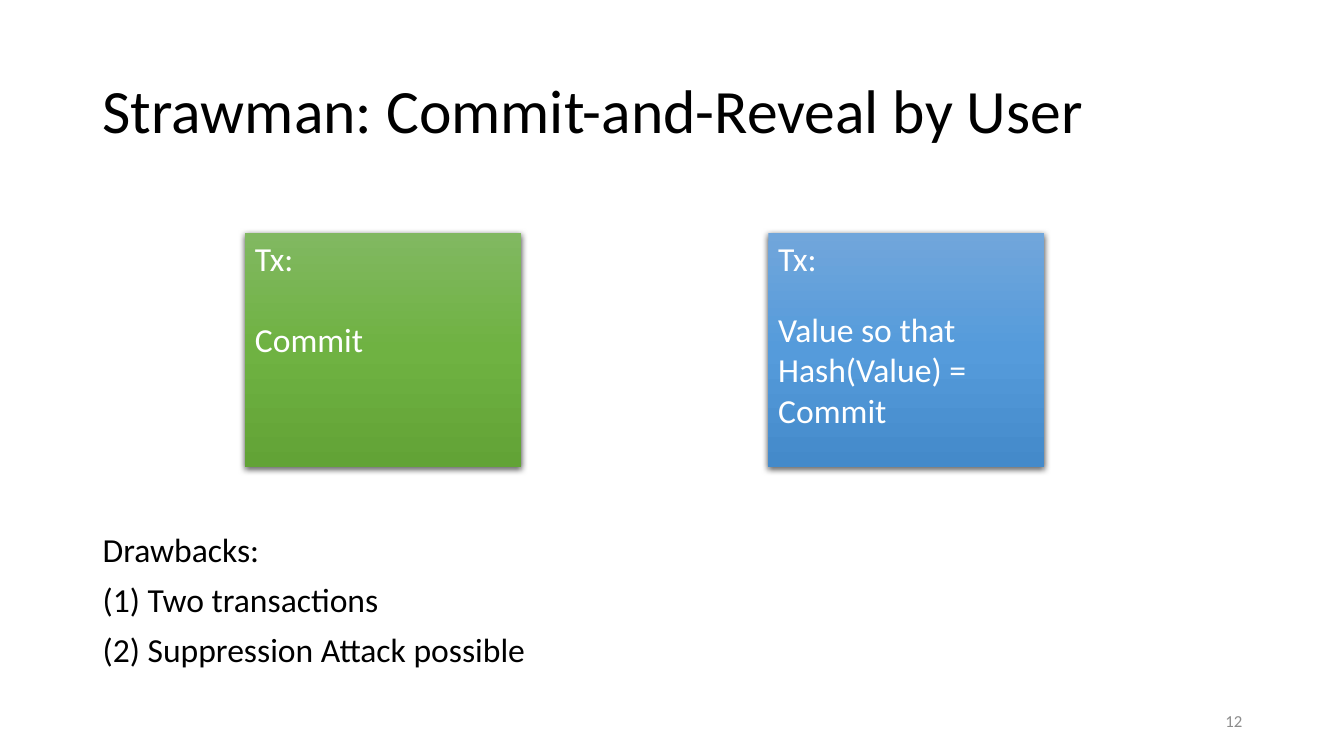
from copy import deepcopy

from pptx import Presentation
from pptx.dml.color import RGBColor
from pptx.enum.shapes import MSO_SHAPE as Shape
from pptx.enum.text import MSO_ANCHOR as Anchor, PP_ALIGN as Align
from pptx.oxml import parse_xml
from pptx.oxml.ns import nsdecls, qn
from pptx.util import Inches, Pt

COLORS = {
    "text": "000000",
    "number": "8C8C8C",
    "box text": "FFFFFF",
    "commit": ("81B861", "6FB242", "62A336"),
    "reveal": ("71A6DB", "559BDB", "448ACA"),
}
MARGIN = 0.92
CONTENT_WIDTH = 11.5
BOX_LEFT, BOX_TOP, BOX_WIDTH, BOX_HEIGHT = 2.43, 2.31, 2.74, 2.32
BOX_STEP = 5.19
SHADOW = (
    f'<a:outerShdw {nsdecls("a")} blurRad="{Pt(4.5)}" dist="{Pt(1.5)}" '
    'dir="5400000" algn="ctr" rotWithShape="0">'
    '<a:srgbClr val="000000"><a:alpha val="63000"/></a:srgbClr></a:outerShdw>'
)


def write(shape, lines, size=24, color="text", align=Align.LEFT,
          anchor=Anchor.TOP, line_spacing=1.0, space_before=0):
    frame = shape.text_frame
    frame.word_wrap = True
    frame.vertical_anchor = anchor
    frame.text = "\n".join(lines)
    for paragraph in frame.paragraphs:
        paragraph.alignment = align
        paragraph.line_spacing = line_spacing
        paragraph.space_before = Pt(space_before)
        paragraph.font.name = "Calibri"
        paragraph.font.size = Pt(size)
        paragraph.font.color.rgb = RGBColor.from_string(COLORS[color])


presentation = Presentation()
presentation.slide_width = Inches(13.33)
presentation.slide_height = Inches(7.5)
slide = presentation.slides.add_slide(presentation.slide_layouts[6])

# Title, slide number and drawbacks
title = slide.shapes.add_textbox(
    Inches(MARGIN), Inches(0.4), Inches(CONTENT_WIDTH), Inches(1.45))
write(title, ["Strawman: Commit-and-Reveal by User"], size=44,
      anchor=Anchor.MIDDLE, line_spacing=0.9)

number = slide.shapes.add_textbox(
    Inches(MARGIN + CONTENT_WIDTH - 3), Inches(6.95), Inches(3), Inches(0.4))
write(number, ["12"], size=12, color="number", align=Align.RIGHT,
      anchor=Anchor.MIDDLE)

drawbacks = slide.shapes.add_textbox(
    Inches(MARGIN), Inches(5.24), Inches(11.33), Inches(1.67))
write(drawbacks,
      ["Drawbacks:", "(1) Two transactions", "(2) Suppression Attack possible"],
      line_spacing=0.9, space_before=10)

# Transaction boxes: gradient colours, lines, gap below "Tx:" in points
transactions = [
    ("commit", ["Tx:", "Commit"], 29),
    ("reveal", ["Tx:", "Value so that", "Hash(Value) = Commit"], 22),
]
for column, (name, lines, gap) in enumerate(transactions):
    box = slide.shapes.add_shape(
        Shape.RECTANGLE, Inches(BOX_LEFT + column * BOX_STEP), Inches(BOX_TOP),
        Inches(BOX_WIDTH), Inches(BOX_HEIGHT))
    box.line.fill.background()
    box.fill.gradient()
    box.fill.gradient_angle = 270
    properties = box._element.spPr
    stop_list = properties.find(qn("a:gradFill")).find(qn("a:gsLst"))
    stop_list.insert(1, deepcopy(stop_list[0]))
    for stop, position, color in zip(
            box.fill.gradient_stops, (0, 0.5, 1), COLORS[name]):
        stop.position = position
        stop.color.rgb = RGBColor.from_string(color)
    box.shadow.inherit = False
    properties.find(qn("a:effectLst")).append(parse_xml(SHADOW))
    write(box, lines, color="box text")
    box.text_frame.paragraphs[0].space_after = Pt(gap)

presentation.save("out.pptx")
